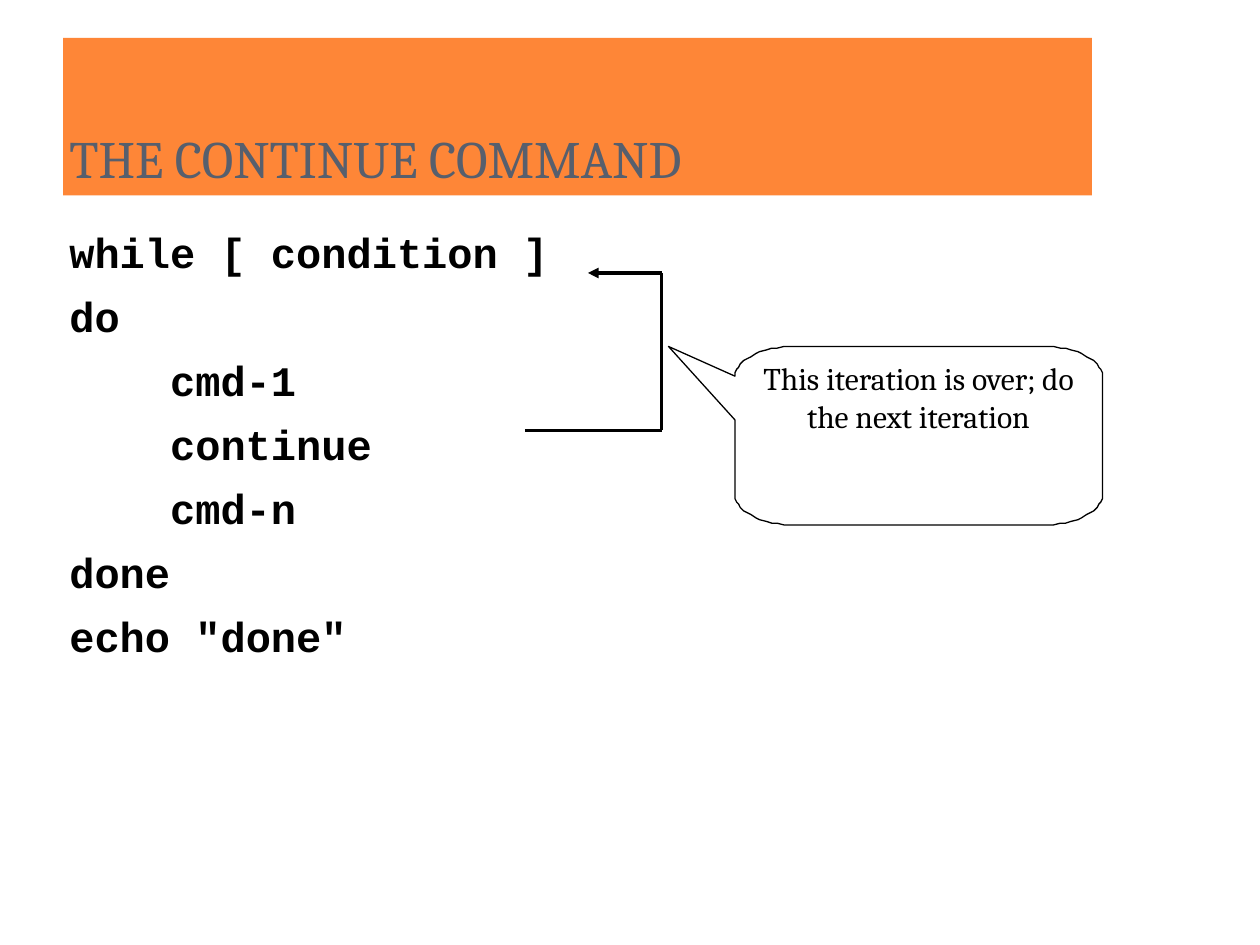
from math import cos, radians, sin

from lxml.etree import SubElement
from pptx import Presentation
from pptx.dml.color import RGBColor
from pptx.enum.shapes import MSO_CONNECTOR, MSO_SHAPE
from pptx.enum.text import MSO_ANCHOR, PP_ALIGN
from pptx.oxml.ns import qn
from pptx.util import Pt

COLORS = {"banner": "FE8637", "title": "575F6D", "ink": "000000"}
MARGIN = 36
CONTENT_WIDTH = 588
CODE_SIZE = 24
INDENT = 4 * 0.6 * CODE_SIZE  # four monospaced characters
CODE = [
    ("while [ condition ]", 0),
    ("do", 0),
    ("cmd-1", 1),
    ("continue", 1),
    ("cmd-n", 1),
    ("done", 0),
    ('echo "done"', 0),
]


def color(name):
    return RGBColor.from_string(COLORS[name])


def prepare_frame(shape, anchor=MSO_ANCHOR.TOP):
    frame = shape.text_frame
    frame.word_wrap = True
    frame.vertical_anchor = anchor
    frame.margin_left = frame.margin_right = Pt(3.6)
    frame.margin_top = frame.margin_bottom = Pt(3.6)
    return frame


def add_run(paragraph, text, font, size, ink="ink", bold=False):
    run = paragraph.add_run()
    run.text = text
    run.font.name = font
    run.font.size = Pt(size)
    run.font.bold = bold
    run.font.color.rgb = color(ink)


def add_title(slide, text):
    banner = slide.shapes.add_shape(
        MSO_SHAPE.RECTANGLE, Pt(MARGIN), Pt(21.6), Pt(CONTENT_WIDTH), Pt(90))
    banner.shadow.inherit = False
    banner.fill.solid()
    banner.fill.fore_color.rgb = color("banner")
    banner.line.fill.background()
    paragraph = prepare_frame(banner, MSO_ANCHOR.BOTTOM).paragraphs[0]
    paragraph.alignment = PP_ALIGN.LEFT
    add_run(paragraph, text, "Cambria", 30, "title")


def add_code(slide, lines):
    listing = slide.shapes.add_textbox(
        Pt(MARGIN), Pt(126), Pt(CONTENT_WIDTH), Pt(384))
    frame = prepare_frame(listing)
    for number, (text, level) in enumerate(lines):
        paragraph = frame.add_paragraph() if number else frame.paragraphs[0]
        paragraph.space_before = Pt(6)
        paragraph.space_after = Pt(1.7)
        if level:
            properties = paragraph._p.get_or_add_pPr()
            properties.set("marL", str(Pt(level * INDENT)))
            properties.set("indent", "0")
        add_run(paragraph, text, "Courier New", CODE_SIZE, bold=True)


def add_callout(slide, text, left, top, width, height, tip):
    """Draw a balloon with elliptical corners, a wedge to tip, and its text."""
    rx, ry = width / 6, height / 6
    right, bottom = left + width, top + height
    corners = [
        (left + rx, top + ry, 180),
        (right - rx, top + ry, 270),
        (right - rx, bottom - ry, 0),
        (left + rx, bottom - ry, 90),
    ]
    outline = [
        (x + rx * cos(radians(start + turn)), y + ry * sin(radians(start + turn)))
        for x, y, start in corners
        for turn in range(0, 91, 6)
    ]
    outline += [(left, top + height * 5 / 12), tip]
    builder = slide.shapes.build_freeform(*outline[0], scale=Pt(1))
    builder.add_line_segments(outline[1:], close=True)
    balloon = builder.convert_to_shape()
    balloon.shadow.inherit = False
    balloon.fill.background()
    balloon.line.color.rgb = color("ink")
    balloon.line.width = Pt(0.75)

    label = slide.shapes.add_textbox(
        Pt(left + 7.7), Pt(top + 3.6), Pt(width - 15.6), Pt(height / 2))
    paragraph = prepare_frame(label).paragraphs[0]
    paragraph.alignment = PP_ALIGN.CENTER
    add_run(paragraph, text, "Cambria", 18)


def add_line(slide, start, end, arrow=False):
    line = slide.shapes.add_connector(
        MSO_CONNECTOR.STRAIGHT, *(Pt(value) for value in start + end))
    line.line.color.rgb = color("ink")
    line.line.width = Pt(2)
    if arrow:
        SubElement(line.line._get_or_add_ln(), qn("a:tailEnd"), type="triangle")
    SubElement(line._element.spPr, qn("a:effectLst"))


def add_loop_arrow(slide, corners):
    last = len(corners) - 2
    for number, (start, end) in enumerate(zip(corners, corners[1:])):
        add_line(slide, start, end, arrow=number == last)


def main():
    presentation = Presentation()
    presentation.slide_width, presentation.slide_height = Pt(720), Pt(540)
    slide = presentation.slides.add_slide(presentation.slide_layouts[6])
    add_title(slide, "THE CONTINUE COMMAND")
    add_code(slide, CODE)
    add_callout(slide, "This iteration is over; do the next iteration",
                420, 198, 210, 102, tip=(381.6, 198))
    add_loop_arrow(slide, [(300, 246), (378, 246), (378, 156), (336, 156)])
    presentation.save("out.pptx")


if __name__ == "__main__":
    main()
